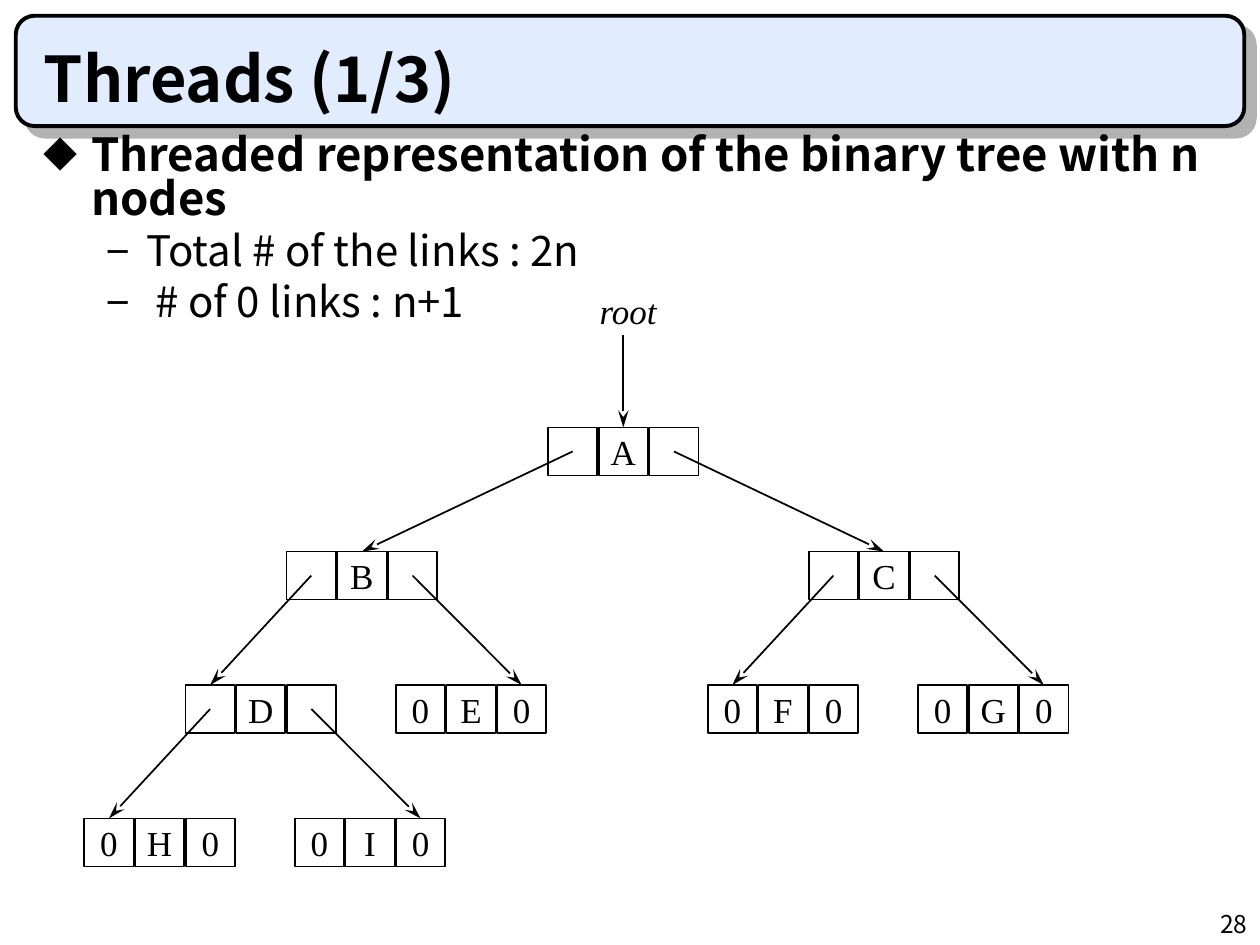
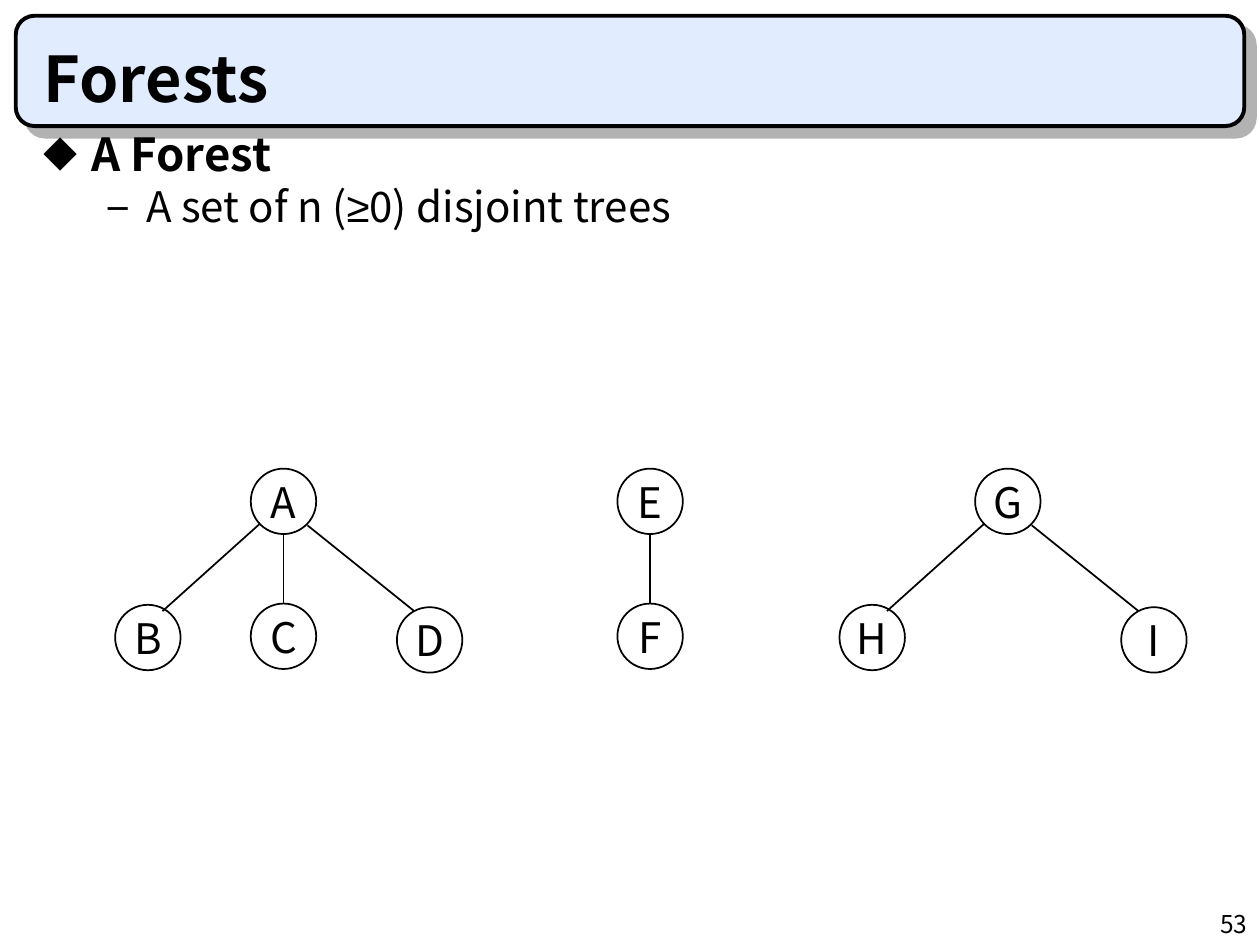
"""Build two slides on threaded binary trees and forests."""
from lxml.etree import SubElement
from pptx import Presentation
from pptx.dml.color import RGBColor
from pptx.enum.shapes import MSO_CONNECTOR, MSO_SHAPE
from pptx.enum.text import MSO_ANCHOR, PP_ALIGN
from pptx.oxml import parse_xml
from pptx.oxml.ns import nsdecls, qn
from pptx.util import Pt

COLORS = {"ink": "000000", "band": "E1ECFF", "shade": "B2B2B2"}
INK = RGBColor.from_string(COLORS["ink"])
SANS = "Noto Sans CJK KR"
FONTS = {
    "title": {"name": SANS, "size": Pt(36), "bold": True},
    "page": {"name": SANS, "size": Pt(14)},
    "head": {"name": SANS, "size": Pt(26), "bold": True},
    "item": {"name": SANS, "size": Pt(24)},
    "sign": {"name": "Arial", "size": Pt(24)},
    "cell": {"name": "Times New Roman", "size": Pt(20)},
    "root": {"name": "Times New Roman", "size": Pt(20), "italic": True},
}
BULLETS = {"head": ("◆", 75, 27, -27, 0), "item": ("−", 100, 58.5, -22.5, 6)}
PAGES = [
    ("Threads (1/3)", "28", [
        ("head", 0, [("head", "Threaded representation of the binary tree with n nodes")]),
        ("item", 0, [("item", "Total # of the links : 2n")]),
        ("item", 5.4, [("item", "# of 0 links : n+1")])]),
    ("Forests", "53", [
        ("head", 0, [("head", "A Forest")]),
        ("item", 0, [("item", "A set of n ("), ("sign", "≥"), ("item", "0) disjoint trees")])]),
]


def write(para, text, style):
    run = para.add_run()
    run.text = text
    run.font.color.rgb = INK
    for key, value in FONTS[style].items():
        setattr(run.font, key, value)


def draw(slide, kind, place, text="", style="cell"):
    """Add a line, or an unfilled outlined shape with a centred label."""
    spots = [Pt(n) for n in place]
    if kind == "line":
        item = slide.shapes.add_connector(MSO_CONNECTOR.STRAIGHT, *spots)
        SubElement(item._element.spPr, qn("a:effectLst"))
    else:
        item = slide.shapes.add_shape(kind, *spots)
        item.shadow.inherit = False
        item.fill.background()
        frame = item.text_frame
        frame.word_wrap = False
        frame.vertical_anchor = MSO_ANCHOR.MIDDLE
        if text:
            frame.paragraphs[0].alignment = PP_ALIGN.CENTER
            write(frame.paragraphs[0], text, style)
    item.line.color.rgb = INK
    item.line.width = Pt(1)
    return item


deck = Presentation()
deck.slide_width, deck.slide_height = Pt(720), Pt(540)
slides = []
for title, number, lines in PAGES:
    slide = deck.slides.add_slide(deck.slide_layouts[6])
    slides.append(slide)
    band = draw(slide, MSO_SHAPE.ROUNDED_RECTANGLE, (9, 9, 702, 63))
    band.adjustments[0] = 0.17
    band.fill.solid()
    band.fill.fore_color.rgb = RGBColor.from_string(COLORS["band"])
    band.line.width = Pt(2.25)
    glow = band._element.spPr.find(qn("a:effectLst"))
    glow.append(parse_xml(
        f'<a:outerShdw {nsdecls("a")} dist="{Pt(8.5)}" dir="2700000" algn="ctr" rotWithShape="0">'
        f'<a:srgbClr val="{COLORS["shade"]}"/></a:outerShdw>'))

    frames = []
    for place in [(570, 516, 150, 24), (18, 18, 678, 48), (18, 78, 678, 420)]:
        frame = slide.shapes.add_textbox(*[Pt(n) for n in place]).text_frame
        frame.word_wrap = True
        frames.append(frame)
    page, head, body = frames
    page.paragraphs[0].alignment = PP_ALIGN.RIGHT
    write(page.paragraphs[0], number, "page")
    for frame in (head, body):
        frame.margin_top = frame.margin_bottom = 0
    head.vertical_anchor = MSO_ANCHOR.BOTTOM
    write(head.paragraphs[0], title, "title")
    for row, (level, shift, runs) in enumerate(lines):
        para = body.add_paragraph() if row else body.paragraphs[0]
        mark, size, left, hang, gap = BULLETS[level]
        props = para._p.get_or_add_pPr()
        props.set("marL", str(Pt(left + shift)))
        props.set("indent", str(Pt(hang - shift)))
        tint = SubElement(props, qn("a:buClr"))
        SubElement(tint, qn("a:srgbClr"), val=COLORS["ink"])
        SubElement(props, qn("a:buSzPct"), val=str(size * 1000))
        SubElement(props, qn("a:buFont"), typeface=SANS)
        SubElement(props, qn("a:buChar"), char=mark)
        para.line_spacing = 0.8
        para.space_before = Pt(gap)
        for style, text in runs:
            write(para, text, style)

threads, forests = slides

WIDE, HIGH, STEP = 28.1, 27.4, 28.95
TOPS = [244.3, 315.2, 391.5, 467.7]
NODES = [("A", None, 0, 313.2), ("B", "A", 0, -149.4), ("C", "A", 2, 149),
         ("D", "B", 0, -57.8), ("E", "B", 2, 62.4), ("F", "C", 0, -57.8),
         ("G", "C", 2, 62.4), ("H", "D", 0, -57.8), ("I", "D", 2, 62.4)]
parents = {node[1] for node in NODES}
tree = {}
links = []
for name, parent, side, shift in NODES:
    left, depth = shift, 0
    if parent:
        left += tree[parent][0]
        depth = tree[parent][1] + 1
    end = "" if name in parents else "0"
    cells = [draw(threads, MSO_SHAPE.RECTANGLE, (left + i * STEP, TOPS[depth], WIDE, HIGH), text)
             for i, text in enumerate((end, name, end))]
    tree[name] = left, depth
    goal = cells[1 if depth < 2 else side]
    if parent:
        base, above = tree[parent]
        start = base + side * STEP + WIDE / 2, TOPS[above] + HIGH / 2
    else:
        start = left + STEP + WIDE / 2, 191.5
    links.append((start, goal))
for start, goal in links:
    link = draw(threads, "line", (*start, *start))
    link.end_connect(goal, 0)
    SubElement(link.line._get_or_add_ln(), qn("a:tailEnd"), type="stealth", w="med", len="lg")

label = threads.shapes.add_textbox(Pt(335.5), Pt(162), Pt(48), Pt(31)).text_frame
label.word_wrap = False
write(label.paragraphs[0], "root", "root")

SIZE, TOP = 37.4, 267.8
SPOTS = {"left": (-77.5, 77.8), "mid": (0, 77.1), "right": (83.5, 79.2)}
EDGES = {"left": (5, 31.7, -50.4, 81.4), "mid": (18.7, 37.4, 18.7, 77.1),
         "right": (32.4, 32.4, 93.4, 81.4)}
TREES = [("A", 143.3, {"left": "B", "mid": "C", "right": "D"}),
         ("E", 352.8, {"mid": "F"}),
         ("G", 557.2, {"left": "H", "right": "I"})]
for root, left, kids in TREES:
    draw(forests, MSO_SHAPE.OVAL, (left, TOP, SIZE, SIZE), root, "item")
    for side, name in kids.items():
        across, down = SPOTS[side]
        draw(forests, MSO_SHAPE.OVAL, (left + across, TOP + down, SIZE, SIZE), name, "item")
        x1, y1, x2, y2 = EDGES[side]
        edge = draw(forests, "line", (left + x1, TOP + y1, left + x2, TOP + y2))
        if name == "C":
            edge.line.width = Pt(0.75)

deck.save("out.pptx")
